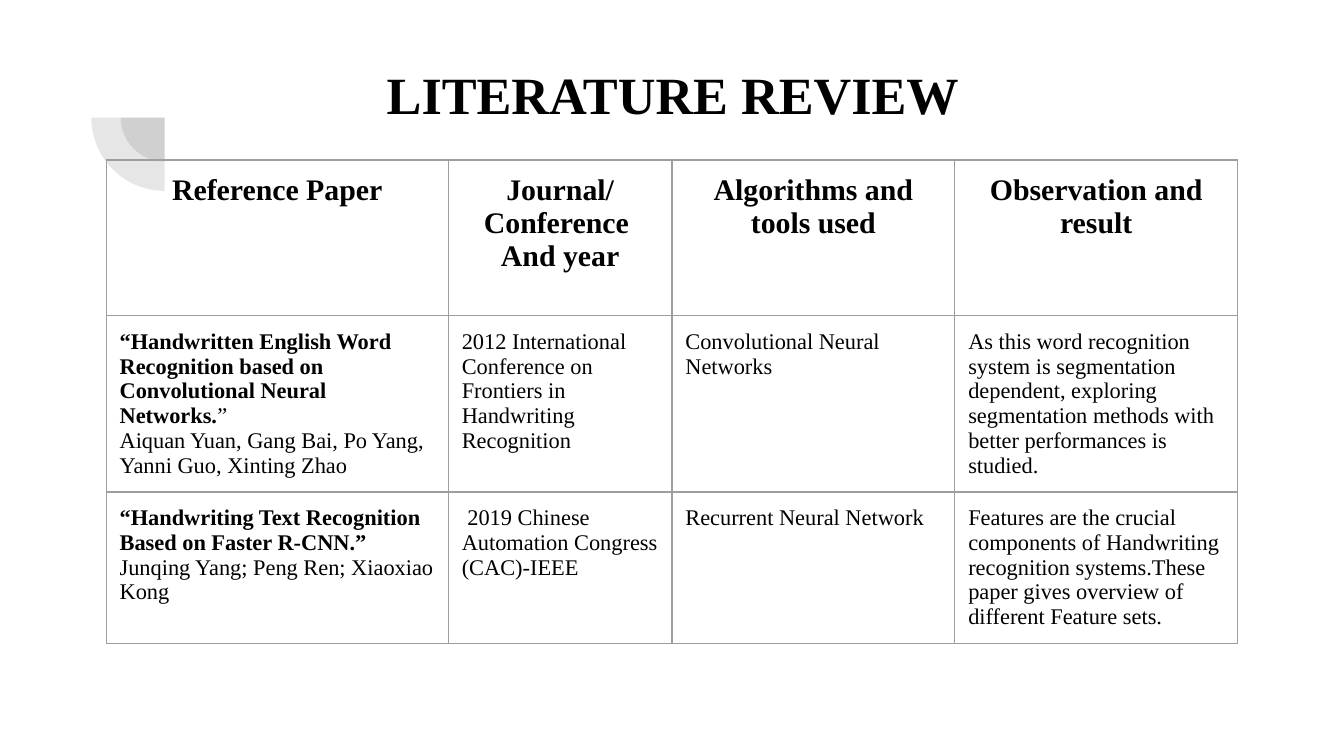
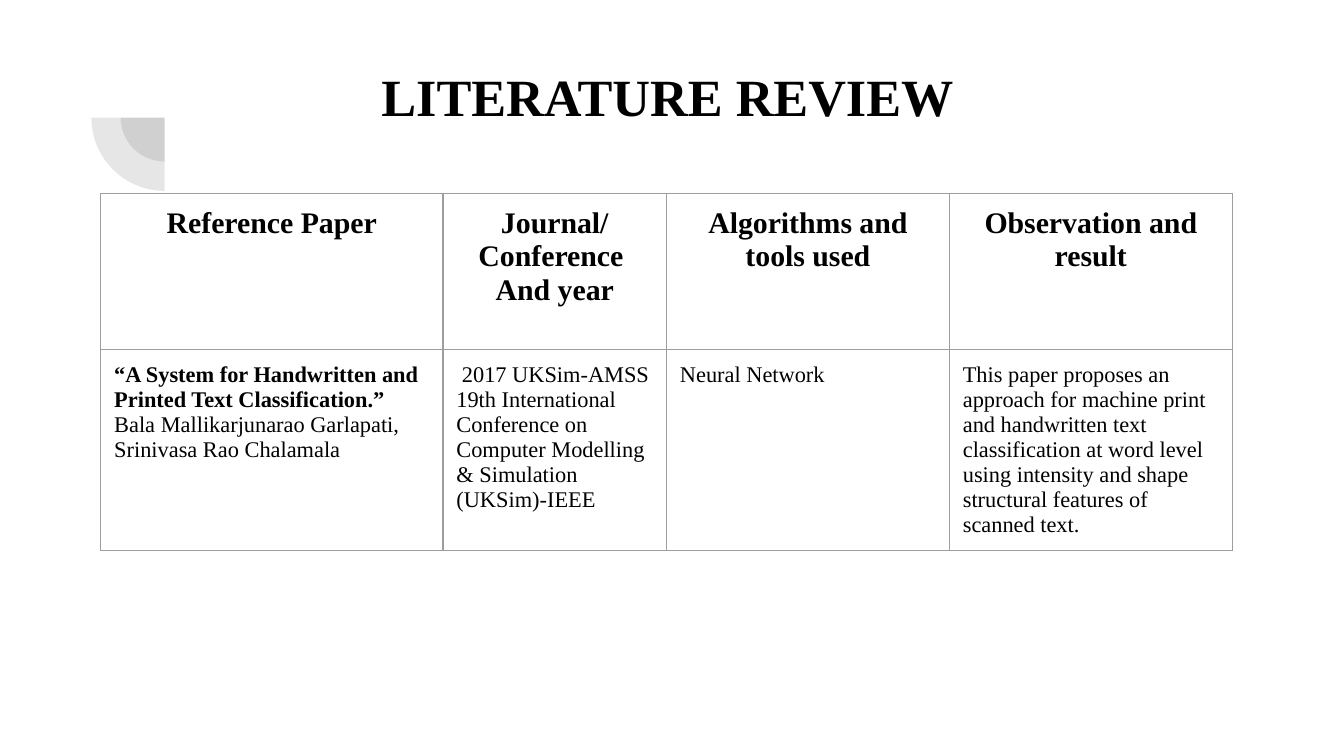
from pptx import Presentation
from pptx import util as u
from pptx.dml.color import RGBColor
from pptx.enum import shapes, text
from pptx.oxml import parse_xml
from pptx.oxml.ns import nsdecls, qn

FONT = "Times New Roman"
BLACK, GREY, BORDER = "000000", "424242", "9E9E9E"
TITLE = "LITERATURE REVIEW"
SLIDE_WIDTH = 10
SLIDE_HEIGHT = SLIDE_WIDTH * 9 / 16
TABLE_WIDTH = 8.42
COL_SHARES = [2.54, 1.66, 2.1, 2.1]
HEADER_HEIGHT, ROW_HEIGHT, INSET = 1.16, 0.48, 0.1
HEADERS = ["Reference Paper", "Journal/Conference \nAnd year",
           "Algorithms and tools used", "Observation and result"]

PAPERS_1 = [
    ("“Handwritten English Word Recognition based on Convolutional Neural Networks.", "”",
     "Aiquan Yuan, Gang Bai, Po Yang, Yanni Guo, Xinting Zhao",
     "2012 International Conference on Frontiers in Handwriting Recognition",
     "Convolutional Neural Networks",
     "As this word recognition system is segmentation dependent, exploring "
     "segmentation methods with better performances is studied."),
    ("“Handwriting Text Recognition Based on Faster R-CNN.”", "",
     "Junqing Yang; Peng Ren; Xiaoxiao Kong",
     " 2019 Chinese Automation Congress (CAC)-IEEE",
     "Recurrent Neural Network",
     "Features are the crucial components of Handwriting recognition "
     "systems.These paper gives overview of different Feature sets."),
]
PAPERS_2 = [
    ("“A System for Handwritten and Printed Text Classification.”", "",
     "Bala Mallikarjunarao Garlapati, Srinivasa Rao Chalamala",
     " 2017 UKSim-AMSS 19th International Conference on Computer Modelling "
     "& Simulation (UKSim)-IEEE",
     "Neural Network",
     "This paper proposes an approach for machine print and handwritten text "
     "classification at word level using intensity and shape structural "
     "features of scanned text."),
]


def rgb(value):
    """Return the colour of a hex string."""
    return RGBColor.from_string(value)


def style(p, size, bold=False, align=text.PP_ALIGN.LEFT):
    """Format a paragraph and all its runs."""
    p.alignment = align
    for r in p.runs:
        r.font.name, r.font.size, r.font.bold = FONT, u.Pt(size), bold
        r.font.color.rgb = rgb(BLACK)


def add_corner(slide, x, y, size):
    """Draw two nested translucent quarter discs centred on a square box."""
    for side in (0.6 * size, size):
        gap = (size - side) / 2
        sp = slide.shapes.add_shape(shapes.MSO_SHAPE.PIE, u.Inches(x + gap),
                                    u.Inches(y + gap), u.Inches(side), u.Inches(side))
        sp.rotation = 270
        sp.adjustments[0], sp.adjustments[1] = 108, 162
        sp.shadow.inherit = False
        sp.line.fill.background()
        sp.fill.solid()
        sp.fill.fore_color.rgb = rgb(GREY)
        color = sp.fill._xPr.find(qn("a:solidFill"))[0]
        color.append(parse_xml(f'<a:alpha {nsdecls("a")} val="13000"/>'))


def add_title(slide, x, y, w, h):
    """Place the bold centred title in its placeholder."""
    sp = slide.shapes.title
    sp.left, sp.top, sp.width, sp.height = map(u.Inches, (x, y, w, h))
    tf = sp.text_frame
    tf.text = TITLE
    tf.word_wrap = True
    tf.auto_size = text.MSO_AUTO_SIZE.NONE
    tf.vertical_anchor = text.MSO_ANCHOR.TOP
    tf.margin_left = tf.margin_right = u.Inches(INSET)
    tf.margin_top = tf.margin_bottom = u.Inches(INSET)
    style(tf.paragraphs[0], 28, True, text.PP_ALIGN.CENTER)


def format_cell(cell):
    """Give a cell its insets, thin borders and no fill."""
    cell.margin_left = cell.margin_right = u.Inches(INSET)
    cell.margin_top = cell.margin_bottom = u.Inches(INSET)
    tcPr = cell._tc.get_or_add_tcPr()
    for side in "LRTB":
        tcPr.append(parse_xml(
            f'<a:ln{side} {nsdecls("a")} w="{u.Pt(0.75)}"><a:solidFill>'
            f'<a:srgbClr val="{BORDER}"/></a:solidFill></a:ln{side}>'))
    cell.fill.background()


def fill_reference(cell, name, mark, authors):
    """Write a bold paper name, its plain closing mark and the authors below."""
    cell.text = f"{name}\n{authors}"
    first, second = cell.text_frame.paragraphs
    style(first, 12, True)
    style(second, 12)
    if mark:
        r = first.add_run()
        r.text = mark
        style(first, 12, True)
        r.font.bold = False


def add_review(slide, x, y, h, papers):
    """Build the review table with one row for each paper."""
    frame = slide.shapes.add_table(len(papers) + 1, len(COL_SHARES), u.Inches(x), u.Inches(y),
                                   u.Inches(TABLE_WIDTH), u.Inches(h))
    table = frame.table
    table.first_row = table.horz_banding = False
    for column, share in zip(table.columns, COL_SHARES):
        column.width = u.Inches(TABLE_WIDTH * share / sum(COL_SHARES))
    for i, row in enumerate(table.rows):
        row.height = u.Inches(ROW_HEIGHT if i else HEADER_HEIGHT)
    frame.height = u.Inches(h)
    for cell in table.iter_cells():
        format_cell(cell)
    for j, header in enumerate(HEADERS):
        cell = table.cell(0, j)
        cell.text = header
        for p in cell.text_frame.paragraphs:
            style(p, 16, True, text.PP_ALIGN.CENTER)
    for i, (name, mark, authors, *details) in enumerate(papers, 1):
        fill_reference(table.cell(i, 0), name, mark, authors)
        for j, detail in enumerate(details, 1):
            cell = table.cell(i, j)
            cell.text = detail
            style(cell.text_frame.paragraphs[0], 12)


def add_review_slide(prs, title_at, table_at, table_height, papers):
    """Add a slide with the corner, the title and the review table."""
    slide = prs.slides.add_slide(prs.slide_layouts[5])
    add_corner(slide, 0.68, 0.33, 1.09)
    add_title(slide, *title_at, 7.69, 1.09)
    add_review(slide, *table_at, table_height, papers)


def main():
    """Build and save the presentation."""
    prs = Presentation()
    prs.slide_width, prs.slide_height = u.Inches(SLIDE_WIDTH), u.Inches(SLIDE_HEIGHT)
    add_review_slide(prs, (1.16, 0.36), (0.79, 1.19), 3.76, PAPERS_1)
    add_review_slide(prs, (1.12, 0.38), (0.75, 1.44), 2.76, PAPERS_2)
    prs.save("out.pptx")


if __name__ == "__main__":
    main()
